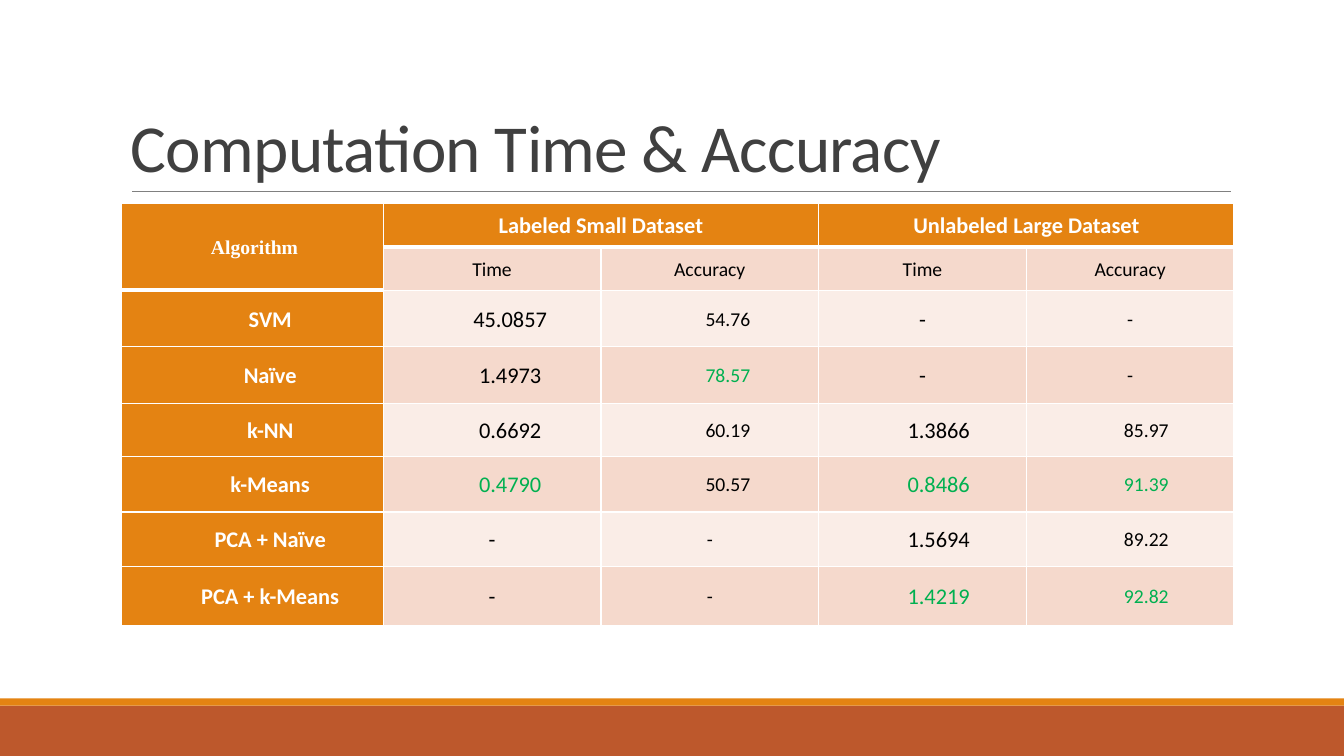
"""Build the slide comparing computation time and accuracy of algorithms."""
from lxml.etree import SubElement
from pptx import Presentation
from pptx.dml.color import RGBColor
from pptx.enum.shapes import MSO_CONNECTOR as Connector, MSO_SHAPE as Shape
from pptx.enum.text import MSO_ANCHOR as Anchor, PP_ALIGN as Align
from pptx.oxml.ns import qn
from pptx.util import Inches, Pt

ORANGE = RGBColor(0xE4, 0x83, 0x12)
RUST = RGBColor(0xBD, 0x58, 0x2C)
DARK_BAND = RGBColor(0xF5, 0xD9, 0xCC)
LIGHT_BAND = RGBColor(0xFA, 0xED, 0xE7)
GREEN = RGBColor(0x00, 0xB0, 0x50)
WHITE = RGBColor(0xFF, 0xFF, 0xFF)
BLACK = RGBColor(0x00, 0x00, 0x00)
TITLE_GRAY = RGBColor(0x40, 0x40, 0x40)
RULE_GRAY = RGBColor(0x80, 0x80, 0x80)

COLUMN_WIDTHS = [2.6, 2.16, 2.16, 2.06, 2.06]
ROW_HEIGHTS = [0.43, 0.43, 0.56, 0.56, 0.53, 0.55, 0.54, 0.59]
ROWS = [
    ["Algorithm", "Labeled Small Dataset", "", "Unlabeled Large Dataset", ""],
    ["", "Time", "Accuracy", "Time", "Accuracy"],
    ["SVM", "45.0857", "54.76", "-", "-"],
    ["Naïve", "1.4973", "78.57", "-", "-"],
    ["k-NN", "0.6692", "60.19", "1.3866", "85.97"],
    ["k-Means", "0.4790", "50.57", "0.8486", "91.39"],
    ["PCA + Naïve", "-", "-", "1.5694", "89.22"],
    ["PCA + k-Means", "-", "-", "1.4219", "92.82"],
]
HIGHLIGHTS = {"78.57", "0.4790", "0.8486", "91.39", "1.4219", "92.82"}


def add_border(cell, side, width):
    line = SubElement(cell._tc.get_or_add_tcPr(), qn(f"a:ln{side}"), w=str(Pt(width)))
    fill = SubElement(line, qn("a:solidFill"))
    SubElement(fill, qn("a:srgbClr"), val=str(WHITE))


def add_span(para, text, size, color, bold=False, font="Calibri"):
    span = para.add_run()
    span.text = text
    span.font.name = font
    span.font.size = Pt(size)
    span.font.bold = bold
    span.font.color.rgb = color
    return span


deck = Presentation()
deck.slide_width, deck.slide_height = Inches(13.33), Inches(7.5)
slide = deck.slides.add_slide(deck.slide_layouts[6])

for top, height, color in [(7, 0.5, RUST), (6.93, 0.07, ORANGE)]:
    footer_bar = slide.shapes.add_shape(
        Shape.RECTANGLE, 0, Inches(top), deck.slide_width, Inches(height))
    footer_bar.shadow.inherit = False
    footer_bar.fill.solid()
    footer_bar.fill.fore_color.rgb = color
    footer_bar.line.fill.background()

title_rule = slide.shapes.add_connector(
    Connector.STRAIGHT, Inches(1.31), Inches(1.9), Inches(12.21), Inches(1.9))
title_rule.line.color.rgb = RULE_GRAY
title_rule.line.width = Pt(0.5)
SubElement(title_rule._element.spPr, qn("a:effectLst"))

title_box = slide.shapes.add_textbox(Inches(1.2), Inches(0.31), Inches(11), Inches(1.59))
title_box.text_frame.word_wrap = True
title_box.text_frame.vertical_anchor = Anchor.BOTTOM
title_para = title_box.text_frame.paragraphs[0]
title_para.line_spacing = 0.85
title_span = add_span(title_para, "Computation Time & Accuracy", 48, TITLE_GRAY)
title_span.font._element.set("spc", "-50")

table = slide.shapes.add_table(
    len(ROWS), len(COLUMN_WIDTHS), Inches(1.2), Inches(2.02),
    Inches(sum(COLUMN_WIDTHS)), Inches(sum(ROW_HEIGHTS))).table
table.first_row = table.horz_banding = False
for column, width in zip(table.columns, COLUMN_WIDTHS):
    column.width = Inches(width)
for table_row, height in zip(table.rows, ROW_HEIGHTS):
    table_row.height = Inches(height)

for row, texts in enumerate(ROWS):
    for col, text in enumerate(texts):
        cell = table.cell(row, col)
        is_header = row == 0 or col == 0
        thick_top = row == 1 or (row, col) == (2, 0)
        thick_bottom = row == 0 or (row, col) == (1, 0)
        add_border(cell, "L", 1)
        add_border(cell, "R", 1)
        add_border(cell, "T", 3 if thick_top else 1)
        add_border(cell, "B", 3 if thick_bottom else 1)
        cell.fill.solid()
        band = DARK_BAND if row % 2 else LIGHT_BAND
        cell.fill.fore_color.rgb = ORANGE if is_header else band
        cell.margin_left = cell.margin_right = Inches(0.07)
        cell.margin_top = cell.margin_bottom = 0
        cell.vertical_anchor = Anchor.MIDDLE
        if not text:
            continue
        para = cell.text_frame.paragraphs[0]
        para.alignment = Align.CENTER
        para.line_spacing = 1.07
        if text == "Algorithm":
            para._p.get_or_add_pPr().set("marL", str(Inches(0.05)))
            add_span(para, text, 14, WHITE, True, "Times New Roman")
            continue
        if row > 1 and text != "-":
            indent = Inches(0.36 if col < 3 else 0.32)
            para._p.get_or_add_pPr().set("indent", str(indent))
        size = 14 if row == 1 or (row > 1 and col in (2, 4)) else 16
        color = WHITE if is_header else GREEN if text in HIGHLIGHTS else BLACK
        add_span(para, text, size, color, is_header)

for first, last in [((0, 0), (1, 0)), ((0, 1), (0, 2)), ((0, 3), (0, 4))]:
    table.cell(*first).merge(table.cell(*last))

deck.save("out.pptx")
